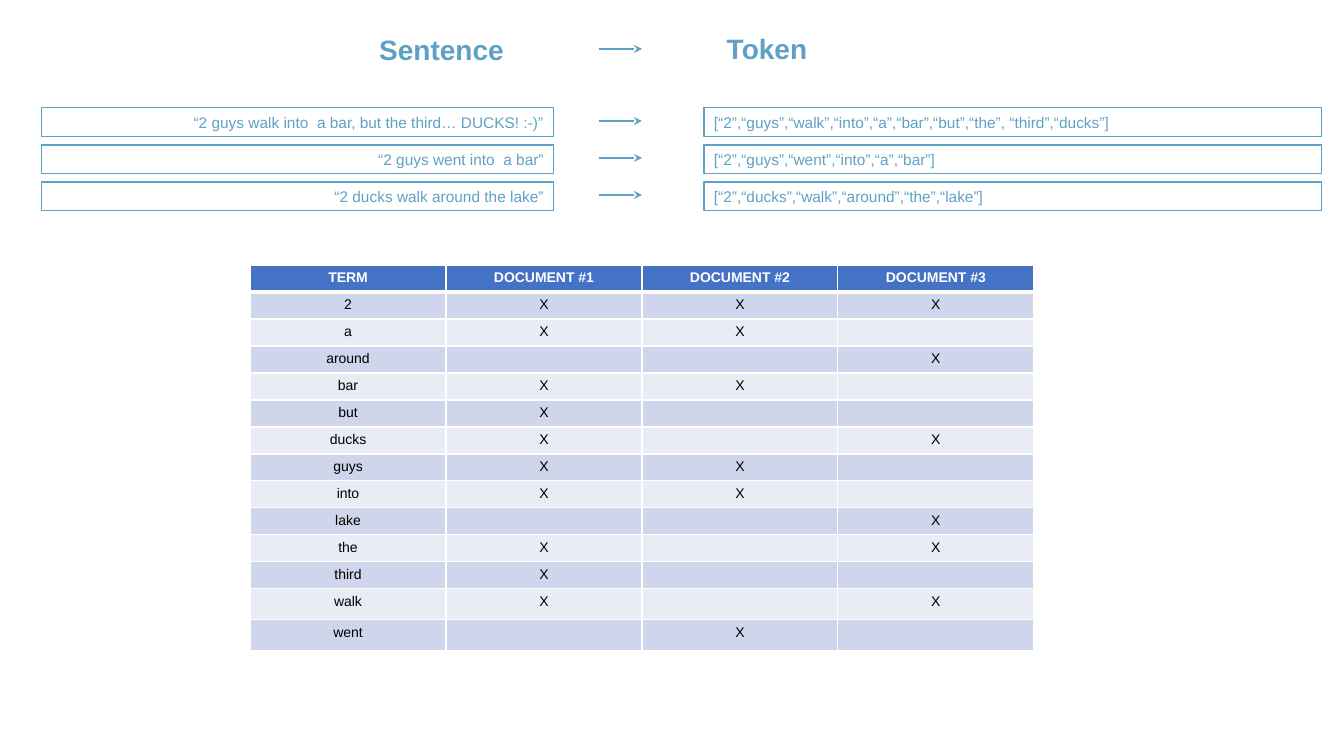
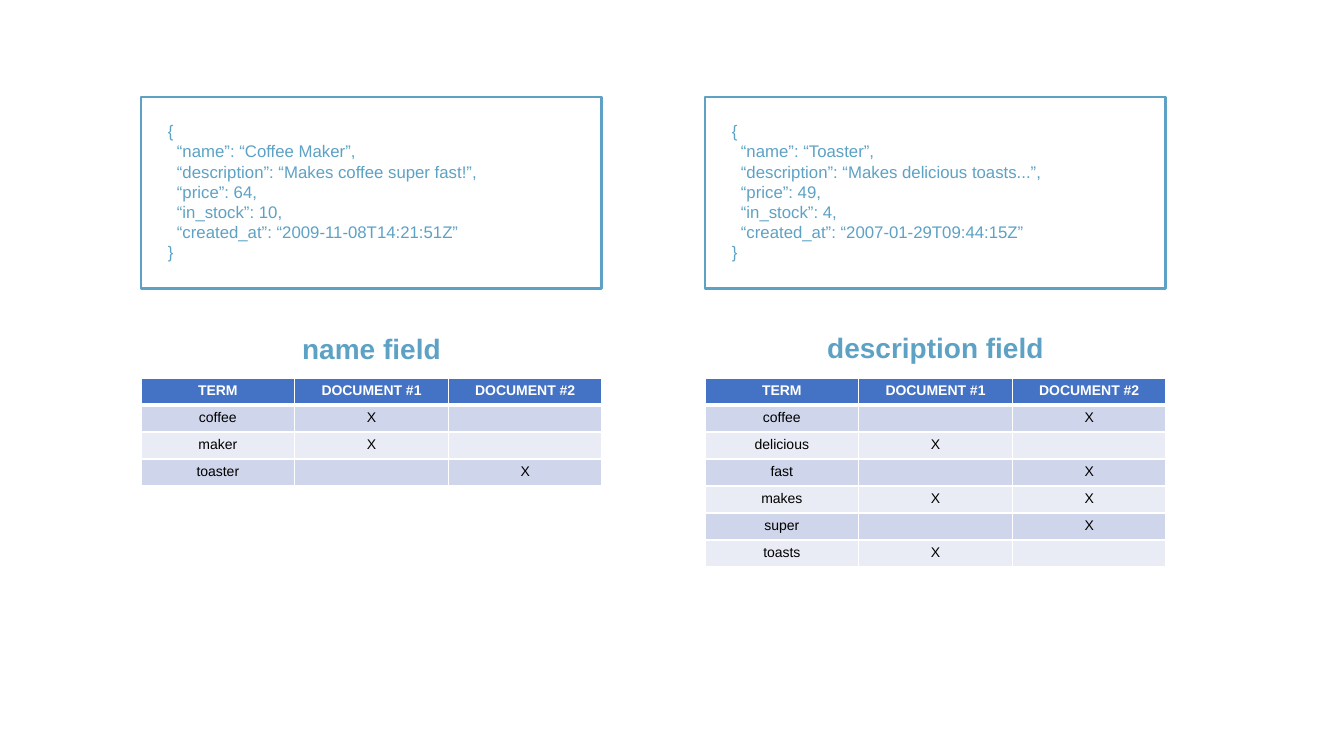
import pptx
import pptx.util
import pptx.dml.color
import pptx.enum.shapes
import pptx.enum.text
import pptx.oxml.ns
import lxml.etree

RGB = pptx.dml.color.RGBColor
BLUE = RGB(0x5D, 0xA2, 0xC5)
HEADER = RGB(0x44, 0x72, 0xC4)
BAND_DARK = RGB(0xCF, 0xD5, 0xEA)
BAND_LIGHT = RGB(0xE9, 0xEB, 0xF5)
WHITE = RGB(0xFF, 0xFF, 0xFF)
BLACK = RGB(0, 0, 0)
FONT = "Arial"
ALIGN = pptx.enum.text.PP_ALIGN
ROW_H = 27
HEADING_H = 44
qn = pptx.oxml.ns.qn
Pt = pptx.util.Pt


def px(n):
    """Turn pixels (100.8 to the inch) into EMU."""
    return pptx.util.Emu(round(n * 914400 / 100.8))


def box(x, y, w, h):
    """Turn a pixel box into EMU lengths."""
    return [px(n) for n in (x, y, w, h)]


def style(p, size, color, align=ALIGN.LEFT, bold=False):
    """Format one paragraph."""
    p.alignment = align
    p.font.name, p.font.size, p.font.bold = FONT, Pt(size), bold
    p.font.color.rgb = color


def heading(s, text, x, y, w, is_title=False):
    """Place a bold centred heading, in the title placeholder if asked."""
    if is_title:
        sp = s.shapes.title
        sp.left, sp.top, sp.width, sp.height = box(x, y, w, HEADING_H)
    else:
        sp = s.shapes.add_textbox(*box(x, y, w, HEADING_H))
    tf = sp.text_frame
    tf.word_wrap = True
    tf.vertical_anchor = pptx.enum.text.MSO_ANCHOR.TOP
    tf.text = text
    style(tf.paragraphs[0], 20, BLUE, ALIGN.CENTER, True)


def frame(s, x, y, w, h, line):
    """Draw an unfilled rectangle with a blue outline."""
    sp = s.shapes.add_shape(pptx.enum.shapes.MSO_SHAPE.RECTANGLE, *box(x, y, w, h))
    sp.shadow.inherit = False
    sp.fill.background()
    sp.line.color.rgb = BLUE
    sp.line.width = Pt(line)
    return sp


def boxed_line(s, text, x, y, w, align):
    """Draw a thin frame holding one line of text."""
    tf = frame(s, x, y, w, 29, 0.75).text_frame
    tf.word_wrap = True
    tf.vertical_anchor = pptx.enum.text.MSO_ANCHOR.TOP
    tf.text = text
    style(tf.paragraphs[0], 11, BLUE, align)


def arrow(s, x, y, w):
    """Draw a horizontal arrow pointing right."""
    c = s.shapes.add_connector(pptx.enum.shapes.MSO_CONNECTOR.STRAIGHT,
                               px(x), px(y), px(x + w), px(y))
    c.line.color.rgb = BLUE
    c.line.width = Pt(2)
    lxml.etree.SubElement(c.line._get_or_add_ln(), qn("a:tailEnd"), type="stealth")
    lxml.etree.SubElement(c._element.spPr, qn("a:effectLst"))


def borders(cell, row):
    """Give a cell white borders, thicker under the header row."""
    tcPr = cell._tc.get_or_add_tcPr()
    widths = {"L": 1, "R": 1, "T": 3 if row == 1 else 1, "B": 3 if row == 0 else 1}
    for i, (side, width) in enumerate(widths.items()):
        ln = lxml.etree.Element(qn("a:ln" + side), w=str(Pt(width)))
        fill = lxml.etree.SubElement(ln, qn("a:solidFill"))
        lxml.etree.SubElement(fill, qn("a:srgbClr"), val=str(WHITE))
        tcPr.insert(i, ln)


def term_table(s, x, y, w, documents, terms, last_rows=ROW_H):
    """Build a term index; each term lists the digits of its documents.

    The last two rows are last_rows high."""
    numbers = range(1, documents + 1)
    rows = [["TERM"] + [f"DOCUMENT #{n}" for n in numbers]]
    rows += [[term] + ["X" if str(n) in found else "" for n in numbers]
             for term, found in terms]
    heights = [ROW_H] * (len(rows) - 2) + [last_rows] * 2
    table = s.shapes.add_table(len(rows), documents + 1,
                               *box(x, y, w, sum(heights))).table
    for column in table.columns:
        column.width = px(w / (documents + 1))
    for r, (texts, height) in enumerate(zip(rows, heights)):
        table.rows[r].height = px(height)
        for c, text in enumerate(texts):
            cell = table.cell(r, c)
            cell.fill.solid()
            cell.fill.fore_color.rgb = (HEADER if r == 0 else
                                        BAND_DARK if r % 2 else BAND_LIGHT)
            borders(cell, r)
            p = cell.text_frame.paragraphs[0]
            style(p, 10, BLACK if r else WHITE, ALIGN.CENTER, r == 0)
            if text:
                p.text = text
            else:
                lxml.etree.SubElement(p._p, qn("a:endParaRPr"), sz="1000")


def json_card(s, fields, x, y, w, h):
    """Draw a framed JSON document with indented fields."""
    frame(s, x, y, w, h, 2)
    tf = s.shapes.add_textbox(*box(x + 17, y + 19, w - 30, h - 40)).text_frame
    tf.word_wrap = True
    body = ",\n".join(f"“{key}”: {value}" for key, value in fields)
    tf.text = "{\n" + body + "\n}"
    for p in tf.paragraphs:
        style(p, 12, BLUE)
    for p in tf.paragraphs[1:-1]:
        p._p.get_or_add_pPr().set("marL", str(px(9)))


def token_slide(prs, pairs, terms):
    """Show sentences split into tokens above their inverted index."""
    s = prs.slides.add_slide(prs.slide_layouts[5])
    arrow_x, arrow_w = 599, 43
    heading(s, "Sentence", 285, 27, 313, is_title=True)
    arrow(s, arrow_x, 49, arrow_w)
    heading(s, "Token", 662, 27, 210)
    for i, (sentence, tokens) in enumerate(pairs):
        y = 108 + 37 * i
        boxed_line(s, sentence, 42, y, 512, ALIGN.RIGHT)
        arrow(s, arrow_x, y + 13, arrow_w)
        boxed_line(s, tokens, 704, y, 618, ALIGN.LEFT)
    term_table(s, 250, 265, 784, 3, terms, last_rows=31)


def field_slide(prs, columns):
    """Show JSON documents side by side, each above one field's index."""
    s = prs.slides.add_slide(prs.slide_layouts[5])
    w = 461
    for i, (fields, title, terms) in enumerate(columns):
        x = 141 + 564 * i
        json_card(s, fields, x, 97, w, 192)
        heading(s, title, x + 74, 326, w - 148, is_title=i == 0)
        term_table(s, x, 378, w, 2, terms)


PAIRS = [
    ("“2 guys walk into  a bar, but the third… DUCKS! :-)”",
     "[“2”,“guys”,“walk”,“into”,“a”,“bar”,“but”,“the”, “third”,“ducks”]"),
    ("“2 guys went into  a bar”", "[“2”,“guys”,“went”,“into”,“a”,“bar”]"),
    ("“2 ducks walk around the lake”",
     "[“2”,“ducks”,“walk”,“around”,“the”,“lake”]"),
]
SENTENCE_TERMS = [
    ("2", "123"), ("a", "12"), ("around", "3"), ("bar", "12"), ("but", "1"),
    ("ducks", "13"), ("guys", "12"), ("into", "12"), ("lake", "3"),
    ("the", "13"), ("third", "1"), ("walk", "13"), ("went", "2"),
]
COFFEE_MAKER = [
    ("name", "“Coffee Maker”"), ("description", "“Makes coffee super fast!”"),
    ("price", 64), ("in_stock", 10), ("created_at", "“2009-11-08T14:21:51Z”"),
]
TOASTER = [
    ("name", "“Toaster”"), ("description", "“Makes delicious toasts...”"),
    ("price", 49), ("in_stock", 4), ("created_at", "“2007-01-29T09:44:15Z”"),
]
NAME_TERMS = [("coffee", "1"), ("maker", "1"), ("toaster", "2")]
DESCRIPTION_TERMS = [
    ("coffee", "2"), ("delicious", "1"), ("fast", "2"),
    ("makes", "12"), ("super", "2"), ("toasts", "1"),
]

prs = pptx.Presentation()
prs.slide_width, prs.slide_height = px(1344), px(756)
token_slide(prs, PAIRS, SENTENCE_TERMS)
field_slide(prs, [(COFFEE_MAKER, "name field", NAME_TERMS),
                  (TOASTER, "description field", DESCRIPTION_TERMS)])
prs.save("out.pptx")
